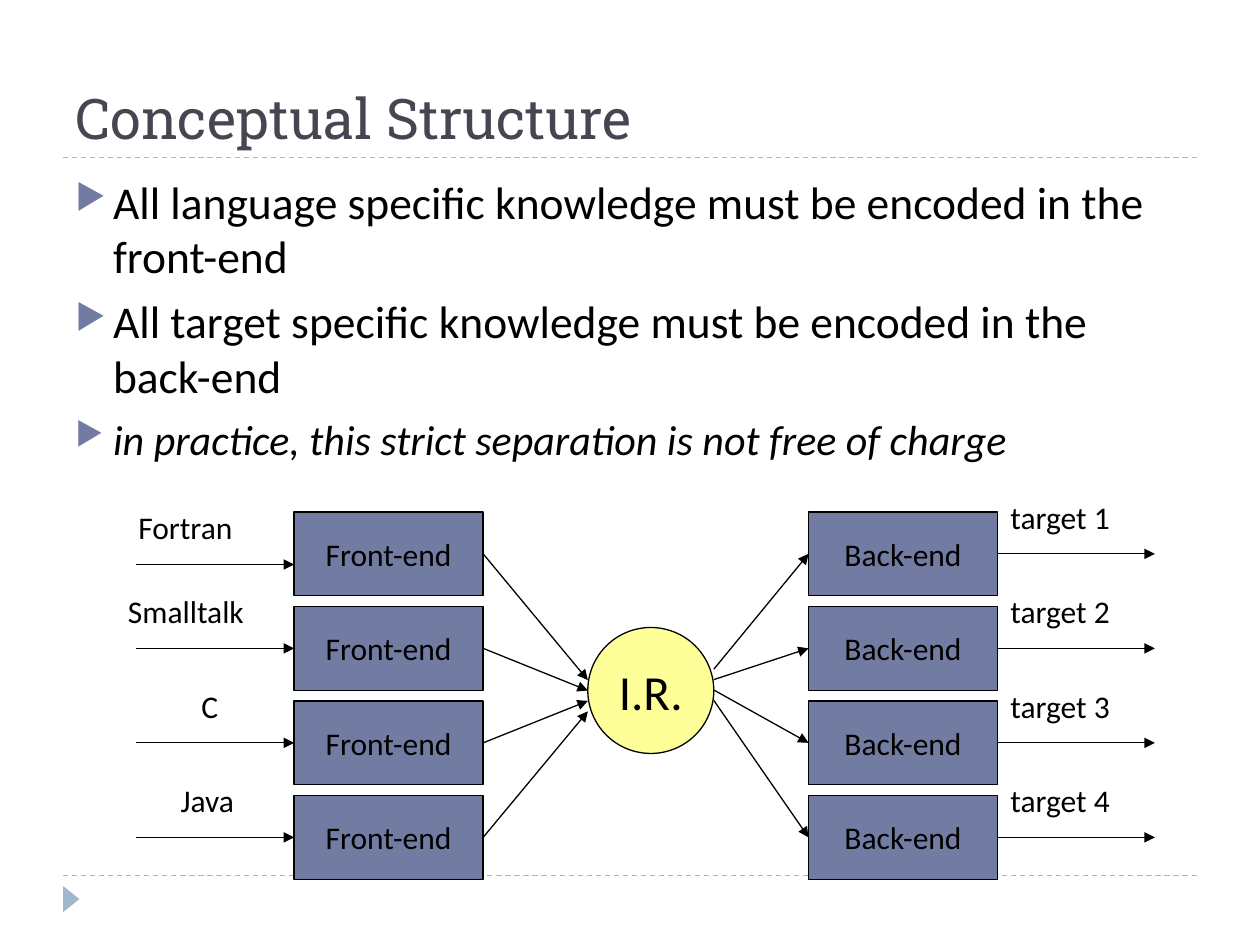
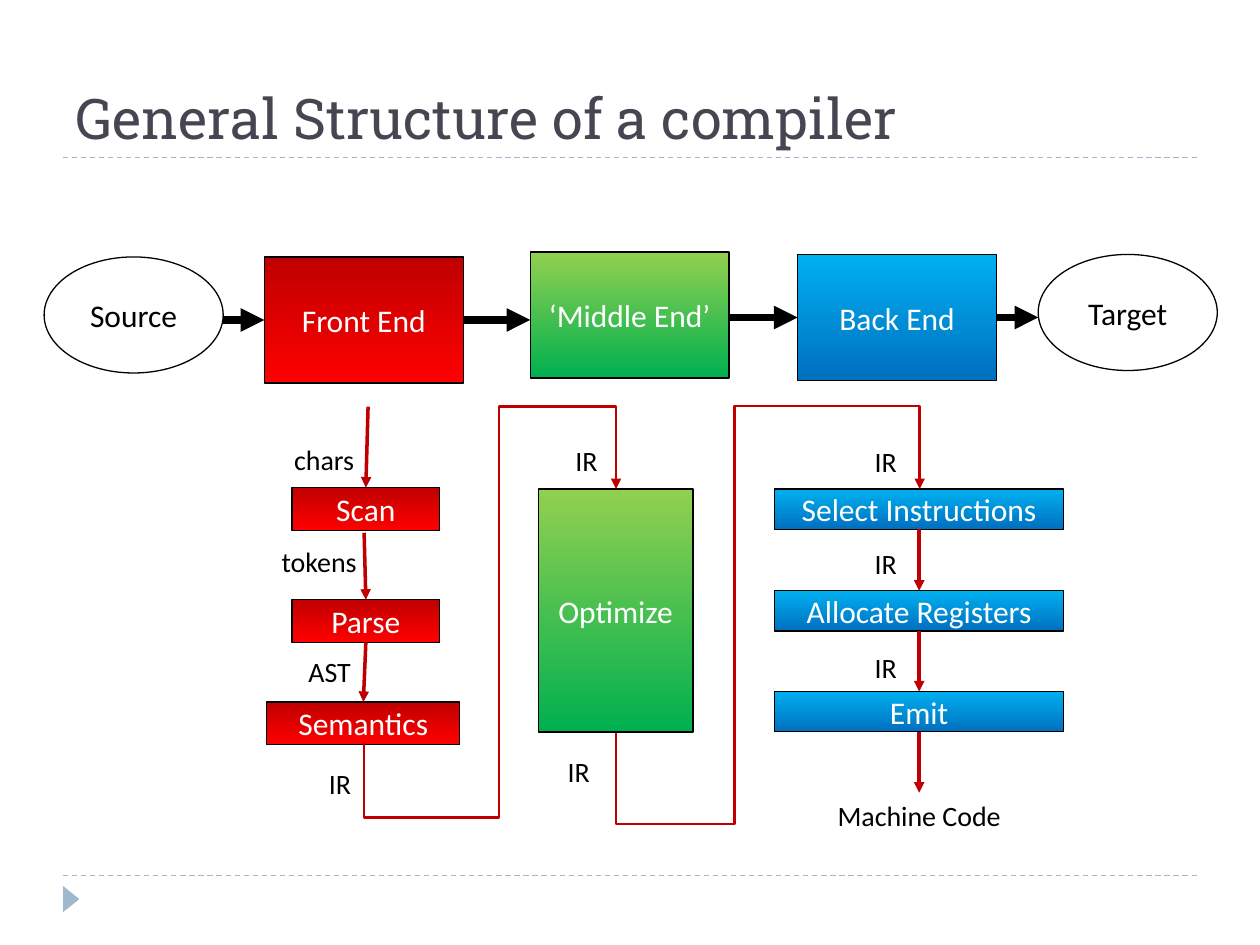
"""Build two slides on the structure of a compiler."""
from lxml.etree import SubElement
from pptx import Presentation
from pptx.dml.color import RGBColor
from pptx.enum.dml import MSO_LINE
from pptx.enum.shapes import MSO_CONNECTOR as LINK, MSO_SHAPE as SHAPE
from pptx.enum.text import MSO_ANCHOR as ANCHOR, PP_ALIGN as ALIGN
from pptx.oxml.ns import qn
from pptx.util import Cm, Pt

BLACK = RGBColor(0x00, 0x00, 0x00)
WHITE = RGBColor(0xFF, 0xFF, 0xFF)
SLATE = RGBColor(0x46, 0x46, 0x53)
INDIGO = RGBColor(0x72, 0x7C, 0xA3)
MIST = RGBColor(0x9F, 0xB8, 0xCD)
YELLOW = RGBColor(0xFF, 0xFF, 0x99)
DARK_RED = RGBColor(0xC0, 0x00, 0x00)
REDS = [DARK_RED, RGBColor(0xFF, 0x00, 0x00)]
GREENS = [RGBColor(0x92, 0xD0, 0x50), RGBColor(0x00, 0xB0, 0x50)]
BLUES = [RGBColor(0x00, 0xB0, 0xF0), RGBColor(0x00, 0x70, 0xC0)]


def put_text(slide, kind, box, text, size=18, ink=BLACK, fills=(),
             font="Calibri", align=ALIGN.CENTER, anchor=ANCHOR.MIDDLE):
    box = [Cm(length) for length in box]
    if kind is None:
        item = slide.shapes.add_textbox(*box)
    else:
        item = slide.shapes.add_shape(kind, *box)
        item.shadow.inherit = False
        item.line.color.rgb = BLACK
        item.line.width = Pt(0.75)
        if len(fills) == 2:
            item.fill.gradient()
            item.fill.gradient_angle = 270
            for stop, color in zip(item.fill.gradient_stops, fills):
                stop.color.rgb = color
        elif fills:
            item.fill.solid()
            item.fill.fore_color.rgb = fills[0]
        else:
            item.fill.background()
    frame = item.text_frame
    frame.text = text
    frame.word_wrap = kind is None
    frame.vertical_anchor = anchor
    for paragraph in frame.paragraphs:
        paragraph.alignment = align
        for run in paragraph.runs:
            run.font.name = font
            run.font.size = Pt(size)
            run.font.color.rgb = ink
    return item


def draw_line(slide, start, end, color=BLACK, weight=0.75, dashed=False, kind=LINK.STRAIGHT):
    joined = [hasattr(tip[0], "shape_id") for tip in (start, end)]
    points = [(0, 0) if join else tip for tip, join in zip((start, end), joined)]
    link = slide.shapes.add_connector(kind, *[Cm(value) for point in points for value in point])
    if joined[0]:
        link.begin_connect(*start)
    if joined[1]:
        link.end_connect(*end)
    link.line.color.rgb = color
    link.line.width = Pt(weight)
    properties = link.element.spPr
    if dashed:
        link.line.dash_style = MSO_LINE.DASH
    else:
        SubElement(properties.find(qn("a:ln")), qn("a:tailEnd"), type="triangle")
    SubElement(properties, qn("a:effectLst"))
    return link


deck = Presentation()
deck.slide_width, deck.slide_height = Cm(25.4), Cm(19.05)
slides = []
for title in ("Conceptual Structure", "General Structure of a compiler"):
    slide = deck.slides.add_slide(deck.slide_layouts[6])
    for rule_y in (17.65, 3.18):
        draw_line(slide, (1.27, rule_y), (24.13, rule_y), MIST, dashed=True)
    marker = put_text(slide, SHAPE.ISOSCELES_TRIANGLE, (1.17, 17.96, 0.53, 0.33), "", fills=[MIST])
    marker.line.fill.background()
    marker.rotation = 90
    put_text(slide, None, (1.27, 0.43, 22.86, 2.74), title, 32, SLATE,
             font="Roboto Slab", align=ALIGN.LEFT, anchor=ANCHOR.BOTTOM)
    slides.append(slide)
concept, pipeline = slides

points = put_text(concept, None, (1.27, 3.38, 22.86, 13.72),
                  "All language specific knowledge must be encoded in the front-end\n"
                  "All target specific knowledge must be encoded in the back-end\n"
                  "in practice, this strict separation is not free of charge",
                  26, align=ALIGN.LEFT, anchor=ANCHOR.TOP).text_frame.paragraphs
for point in points:
    point.space_before = Pt(6)
    layout = point._p.get_or_add_pPr()
    layout.set("marL", str(Cm(0.76)))
    layout.set("indent", str(Cm(-0.76)))
    SubElement(SubElement(layout, qn("a:buClr")), qn("a:srgbClr"), val=str(INDIGO))
    SubElement(layout, qn("a:buSzPct"), val="76000")
    SubElement(layout, qn("a:buChar"), char="▶")
remark = points[-1].runs[0].font
remark.size, remark.italic = Pt(24), True

END_W, END_H, ROW_PITCH = 3.81, 1.69, 1.905
FRONT_X, BACK_X, IR_X, IR_SIZE = 5.93, 16.3, 11.85, 2.54
put_text(concept, SHAPE.OVAL, (IR_X, 12.65, IR_SIZE, IR_SIZE), "I.R.", 28, fills=[YELLOW])
languages = [("Fortran", 2.54, 10.11, 2.77), ("Smalltalk", 2.33, 11.81, 3.3),
             ("C", 3.81, 13.72, 0.94), ("Java", 3.39, 15.62, 1.8)]
for row, (language, label_x, label_y, label_w) in enumerate(languages):
    top = 10.32 + row * ROW_PITCH
    middle = top + END_H / 2
    front = put_text(concept, SHAPE.RECTANGLE, (FRONT_X, top, END_W, END_H),
                     "Front-end", fills=[INDIGO])
    back = put_text(concept, SHAPE.RECTANGLE, (BACK_X, top, END_W, END_H),
                    "Back-end", fills=[INDIGO])
    if row == 0:
        draw_line(concept, (2.75, 11.38), (FRONT_X, 11.38))
    else:
        draw_line(concept, (2.75, middle), (front, 1))
    draw_line(concept, (front, 3), (IR_X, 13.71 + row * 0.21))
    draw_line(concept, (IR_X + IR_SIZE, 13.49 + row * 0.21), (back, 1))
    draw_line(concept, (back, 3), (23.28, middle))
    put_text(concept, None, (label_x, label_y, label_w, 1.02), language,
             align=ALIGN.LEFT, anchor=ANCHOR.TOP)
    put_text(concept, None, (20.12, 9.91 + row * ROW_PITCH, 2.92, 1.02), f"target {row + 1}",
             align=ALIGN.LEFT, anchor=ANCHOR.TOP)

for name, left, top in (("Source", 0.89, 5.18), ("Target", 20.93, 5.13)):
    put_text(pipeline, SHAPE.OVAL, (left, top, 3.61, 2.34), name)

stages = {}
for name, left, top, width, height, fills in [
    ("Front End", 5.33, 5.18, 4.01, 2.54, REDS),
    ("‘Middle End’", 10.69, 5.08, 4.01, 2.54, GREENS),
    ("Back End", 16.08, 5.13, 4.01, 2.54, BLUES),
    ("Scan", 5.89, 9.83, 2.97, 0.86, REDS),
    ("Parse", 5.89, 12.09, 2.97, 0.86, REDS),
    ("Semantics", 5.38, 14.15, 3.89, 0.86, REDS),
    ("Optimize", 10.85, 9.86, 3.12, 4.9, GREENS),
    ("Select Instructions", 15.62, 9.86, 5.82, 0.81, BLUES),
    ("Allocate Registers", 15.62, 11.91, 5.82, 0.81, BLUES),
    ("Emit", 15.62, 13.94, 5.82, 0.81, BLUES),
]:
    stages[name] = put_text(pipeline, SHAPE.RECTANGLE, (left, top, width, height),
                            name, ink=WHITE, fills=fills)

for data, left, top, width in [
    ("chars", 5.05, 8.79, 2.97), ("tokens", 4.95, 10.85, 2.97),
    ("AST", 5.16, 13.08, 2.97), ("IR", 5.38, 15.32, 2.95),
    ("IR", 10.62, 8.81, 2.41), ("IR", 10.11, 15.09, 3.12),
    ("IR", 15.62, 8.84, 4.47), ("IR", 15.62, 10.9, 4.47),
    ("IR", 15.62, 12.98, 4.47), ("Machine Code", 15.62, 15.98, 5.82),
]:
    put_text(pipeline, None, (left, top, width, 0.94), data, 16, anchor=ANCHOR.TOP)

for start, end in [
    ((4.5, 6.45), (stages["Front End"], 1)),
    ((stages["Front End"], 3), (10.69, 6.45)),
    ((14.7, 6.4), (stages["Back End"], 1)),
    ((stages["Back End"], 3), (20.93, 6.4)),
]:
    draw_line(pipeline, start, end, weight=4.5)

for start, end in [
    ((7.42, 8.2), (stages["Scan"], 0)),
    ((7.34, 10.74), (stages["Parse"], 0)),
    ((stages["Parse"], 2), (stages["Semantics"], 0)),
    ((stages["Select Instructions"], 2), (stages["Allocate Registers"], 0)),
    ((stages["Allocate Registers"], 2), (stages["Emit"], 0)),
    ((stages["Emit"], 2), (18.53, 15.98)),
]:
    draw_line(pipeline, start, end, DARK_RED, 2)

for (x1, y1), (x2, y2), low, turn, high in [
    ((7.34, 14.99), (12.42, 9.86), 16.48, 10.06, 8.2),
    ((12.42, 14.78), (18.54, 9.86), 16.61, 14.81, 8.18),
]:
    center_x, center_y = (x1 + x2) / 2, (y1 + y2) / 2
    run_x, rise = x2 - x1, y1 - y2
    detour = draw_line(pipeline, (center_x + rise / 2, center_y + run_x / 2),
                       (center_x - rise / 2, center_y - run_x / 2),
                       DARK_RED, 1.5, kind=LINK.ELBOW)
    detour.element.spPr.find(qn("a:xfrm")).set("rot", "5400000")
    geometry = detour.element.spPr.find(qn("a:prstGeom"))
    geometry.set("prst", "bentConnector5")
    guides = geometry.find(qn("a:avLst"))
    bends = ((y1 - low) / rise, (turn - x1) / run_x, (y1 - high) / rise)
    for number, bend in enumerate(bends, 1):
        SubElement(guides, qn("a:gd"), name=f"adj{number}", fmla=f"val {round(bend * 100000)}")

deck.save("out.pptx")
